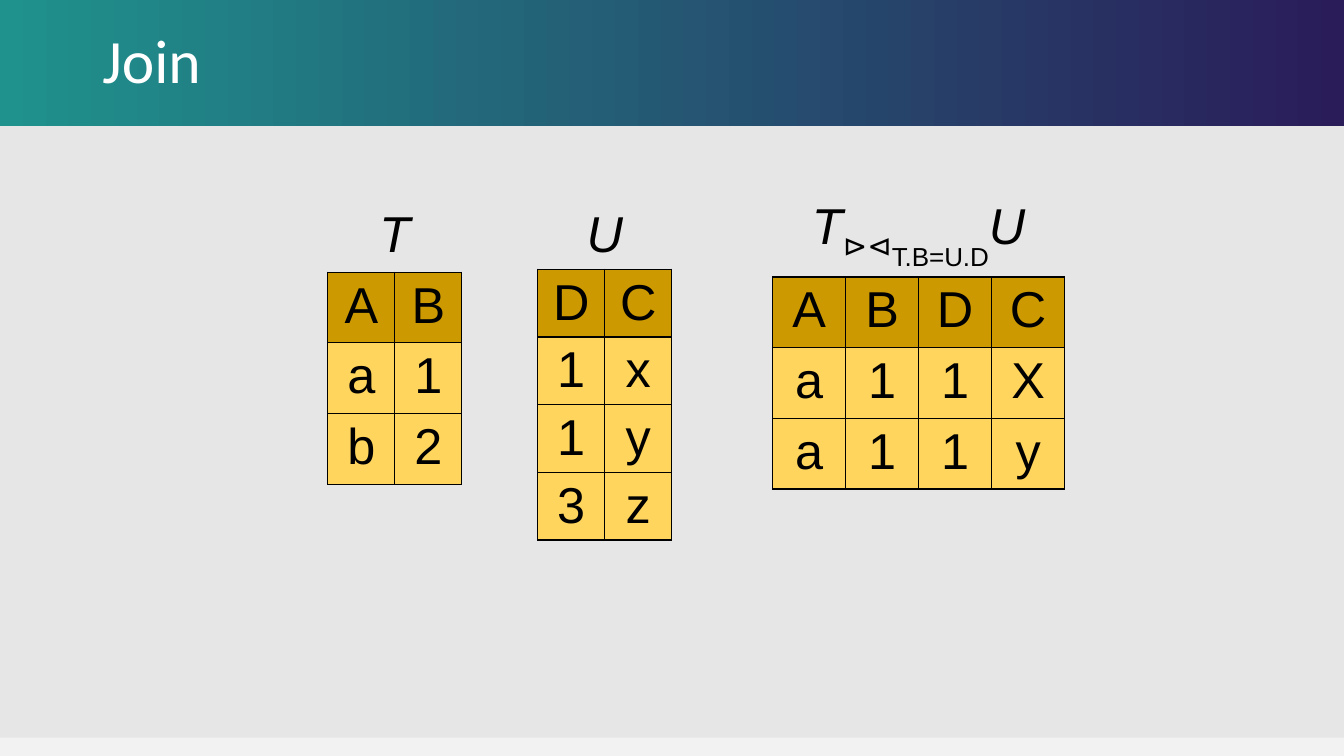
from pptx import Presentation
from pptx import util as u
from pptx.dml import color
from pptx.enum import shapes, text
from lxml import etree
from pptx.oxml import ns

INK = "000000"
HEADER_FILL = "CC9900"
BODY_FILL = "FFD55D"
NAME = {"size": u.Pt(36), "name": "Arial", "italic": True}
VALUE = {**NAME, "italic": False}
JOIN_SIGN = {**VALUE, "name": "Noto Sans Mono"}
CONDITION = {**VALUE, "size": u.Pt(32)}


def paint(target, hex_color):
    target.solid()
    target.fore_color.rgb = color.RGBColor.from_string(hex_color)


def apply(target, values):
    for name, value in values.items():
        setattr(target, name, value)


def add_span(para, words, font, hex_color, baseline=0):
    span = para.add_run()
    span.text = words
    apply(span.font, font)
    paint(span.font.fill, hex_color)
    if baseline:
        span.font._element.set("baseline", str(baseline * 1000))


def add_band(page, height):
    band = page.shapes.add_shape(
        shapes.MSO_SHAPE.RECTANGLE, 0, 0, u.Cm(33.87), u.Cm(height))
    band.shadow.inherit = False
    band.line.fill.background()
    return band.fill


def add_title(page, words):
    box = page.shapes.add_textbox(u.Cm(2.33), 0, u.Cm(29.21), u.Cm(3.18))
    apply(box.text_frame, {"word_wrap": True,
                           "vertical_anchor": text.MSO_ANCHOR.MIDDLE})
    para = box.text_frame.paragraphs[0]
    para.line_spacing = 0.9
    add_span(para, words, {"size": u.Pt(44), "name": "Calibri"}, "FFFFFF")


def set_borders(cell, drawn):
    properties = cell._tc.get_or_add_tcPr()
    for side in "LRTB":
        line = etree.SubElement(properties, ns.qn(f"a:ln{side}"), w="12700")
        if side in drawn:
            fill = etree.SubElement(line, ns.qn("a:solidFill"))
            etree.SubElement(fill, ns.qn("a:srgbClr"), val=INK)
        else:
            etree.SubElement(line, ns.qn("a:noFill"))


def fill_cell(cell, spans, borders, hex_color=None):
    set_borders(cell, borders)
    apply(cell, {"margin_top": u.Cm(0.13), "margin_bottom": u.Cm(0.05)})
    if hex_color:
        paint(cell.fill, hex_color)
    else:
        cell.fill.background()
    para = cell.text_frame.paragraphs[0]
    para.alignment = text.PP_ALIGN.CENTER
    for span in spans:
        add_span(para, span[0], span[1], INK, *span[2:])


def add_relation(page, left, top, column, name_height, row, name, rows):
    count = len(rows[0])
    table = page.shapes.add_table(
        len(rows) + 1, count, u.Cm(left), u.Cm(top), u.Cm(column * count),
        u.Cm(name_height + row * len(rows))).table
    apply(table, {"first_row": False, "horz_banding": False})
    for item in table.columns:
        item.width = u.Cm(column)
    for index, item in enumerate(table.rows):
        item.height = u.Cm(row if index else name_height)
    table.cell(0, 0).merge(table.cell(0, count - 1))
    fill_cell(table.cell(0, 0), name, "B")
    for index in range(1, count):
        fill_cell(table.cell(0, index), [], "B")
    for r, values in enumerate(rows, 1):
        for c, value in enumerate(values):
            fill_cell(table.cell(r, c), [(value, VALUE)], "LRTB",
                      HEADER_FILL if r == 1 else BODY_FILL)


def main():
    deck = Presentation()
    apply(deck, {"slide_width": u.Cm(33.87), "slide_height": u.Cm(19.05)})
    page = deck.slides.add_slide(deck.slide_layouts[6])
    paint(page.background.fill, "F2F2F2")
    paint(add_band(page, 18.59), "E7E6E6")
    header = add_band(page, 3.18)
    header.gradient()
    header.gradient_angle = 0
    for stop, hex_color in zip(header.gradient_stops, ("1F928D", "2A1C59")):
        stop.color.rgb = color.RGBColor.from_string(hex_color)
    add_title(page, "Join")
    add_relation(page, 8.26, 5.08, 1.69, 1.78, 1.78,
                 [("T", NAME)], ["AB", "a1", "b2"])
    add_relation(page, 13.55, 5.08, 1.69, 1.68, 1.68,
                 [("U", NAME)], ["DC", "1x", "1y", "3z"])
    add_relation(page, 19.47, 4.66, 1.84, 2.32, 1.78,
                 [("T", NAME), ("⊳⊲", JOIN_SIGN, -25),
                  ("T.B=U.D", CONDITION, -50), ("U", NAME)],
                 ["ABDC", "a11X", "a11y"])
    deck.save("out.pptx")


if __name__ == "__main__":
    main()
